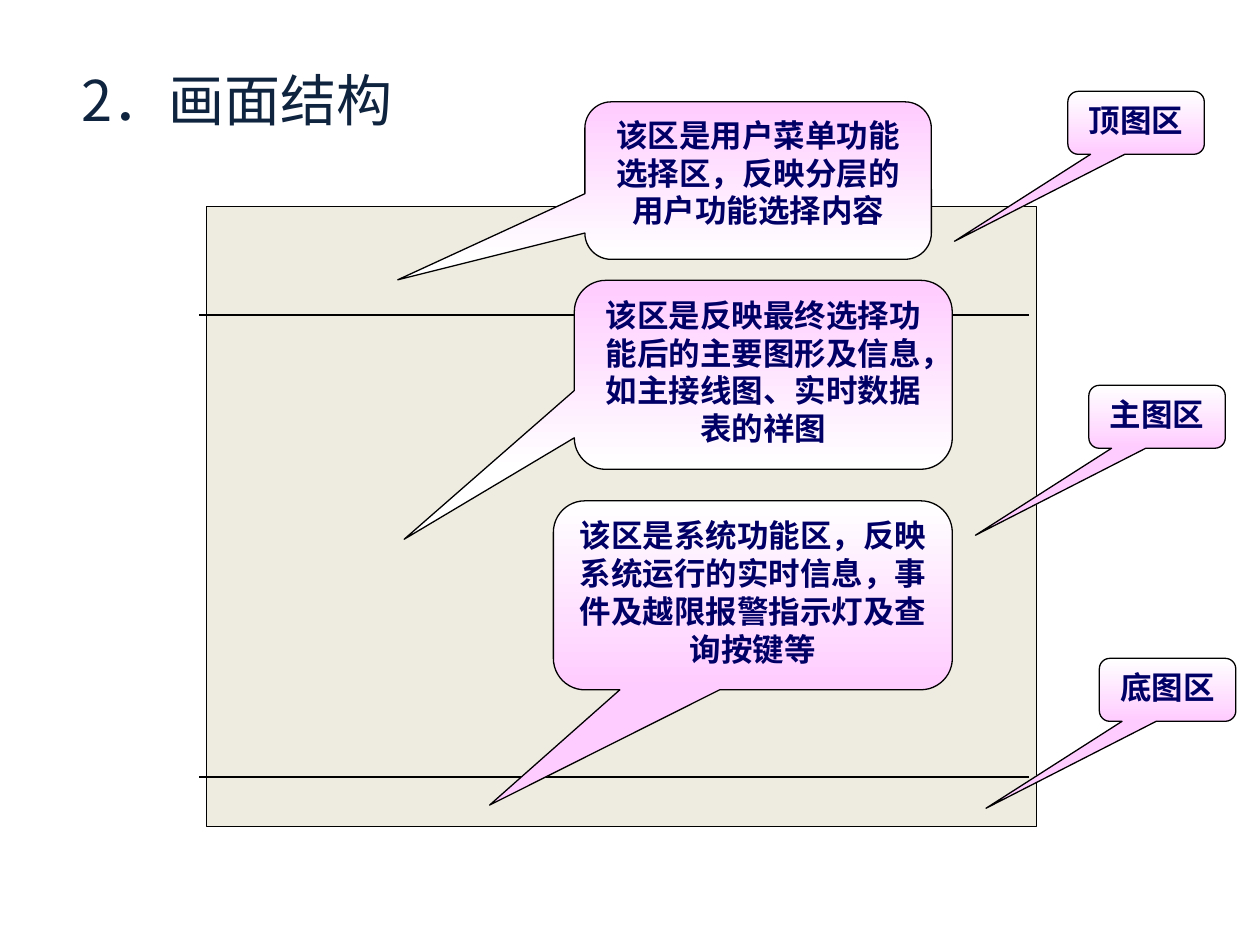
from pptx import Presentation
from pptx.dml.color import RGBColor
from pptx.enum.shapes import MSO_CONNECTOR as CONN, MSO_SHAPE as SHAPE
from pptx.enum.text import MSO_ANCHOR as ANCHOR, PP_ALIGN as ALIGN
from pptx.oxml.ns import qn
from pptx.util import Inches, Pt
from lxml.etree import SubElement

COLORS = {"title": "0F243E", "panel": "EEECE1", "line": "000000",
          "text": "000066", "pink": "FFCCFF", "white": "FFFFFF"}
TITLE = {"size": Pt(32), "name": "Noto Sans CJK JP", "bold": False}
NOTE = {"size": Pt(18), "name": "Noto Sans CJK SC", "bold": True}
COLS, ROWS = 120, 90


def rgb(key):
    return RGBColor.from_string(COLORS[key])


class SlideBuilder:
    """Places styled elements on a grid of COLS by ROWS cells."""

    def __init__(self, prs):
        self.s = prs.slides.add_slide(prs.slide_layouts[6])
        self.col, self.row = prs.slide_width / COLS, prs.slide_height / ROWS

    def box(self, x, y, w, h):
        return [round(v * u) for v, u in
                zip((x, y, w, h), (self.col, self.row) * 2)]

    def outline(self, line):
        line.color.rgb = rgb("line")
        line.width = Pt(0.75)

    def add_text(self, sp, text, style, color, align, anchor):
        tf = sp.text_frame
        tf.word_wrap = True
        tf.vertical_anchor = anchor
        p = tf.paragraphs[0]
        p.alignment = align
        r = p.add_run()
        r.text = text
        for key, value in style.items():
            setattr(r.font, key, value)
        r.font.color.rgb = rgb(color)
        # East Asian typeface
        SubElement(r.font._element, qn("a:ea"), typeface=style["name"])

    def title(self, text, *area):
        sp = self.s.shapes.add_textbox(*self.box(*area))
        self.add_text(sp, text, TITLE, "title", ALIGN.LEFT, ANCHOR.MIDDLE)

    def shape(self, kind, *area):
        sp = self.s.shapes.add_shape(kind, *self.box(*area))
        sp.shadow.inherit = False
        self.outline(sp.line)
        return sp

    def panel(self, *area):
        sp = self.shape(SHAPE.RECTANGLE, *area)
        sp.fill.solid()
        sp.fill.fore_color.rgb = rgb("panel")

    def divider(self, x1, x2, y):
        ln = self.s.shapes.add_connector(CONN.STRAIGHT, *self.box(x1, y, x2, y))
        self.outline(ln.line)
        SubElement(ln._element.spPr, qn("a:effectLst"))

    def callout(self, text, area, tip, shades):
        sp = self.shape(SHAPE.ROUNDED_RECTANGULAR_CALLOUT, *area)
        for i, value in enumerate((*tip, 0.167)):
            sp.adjustments[i] = value
        sp.fill.gradient()
        sp.fill.gradient_angle = 270
        for stop, shade in zip(sp.fill.gradient_stops, shades):
            stop.color.rgb = rgb(shade)
        self.add_text(sp, text, NOTE, "text", ALIGN.CENTER, ANCHOR.TOP)


def main():
    prs = Presentation()
    prs.slide_width, prs.slide_height = Inches(10), Inches(7.5)
    b = SlideBuilder(prs)
    to_pink, to_white = ("white", "pink"), ("pink", "white")

    b.title("2．画面结构", 6.6, 1.9, 108, 15)

    # Screen split into top, main and bottom areas
    b.panel(19.7, 19.7, 79, 59)
    for y in (30, 74):
        b.divider(19, 98, y)

    # Area names
    for text, x, y in (("顶图区", 101.7, 8.7), ("主图区", 103.7, 36.7),
                       ("底图区", 104.7, 62.7)):
        b.callout(text, (x, y, 13, 6), (-1.33, 1.88), to_pink)

    # Area descriptions
    b.callout("该区是用户菜单功能选择区，反映分层的用户功能选择内容",
              (55.7, 9.7, 33, 15), (-1.04, 0.63), to_white)
    b.callout("该区是反映最终选择功能后的主要图形及信息，如主接线图、实时数据表的祥图",
              (54.7, 26.7, 36, 18), (-0.95, 0.87), to_white)
    b.callout("该区是系统功能区，反映系统运行的实时信息，事件及越限报警指示灯及查询按键等",
              (52.7, 47.7, 38, 18), (-0.66, 1.11), to_pink)

    prs.save("out.pptx")


if __name__ == "__main__":
    main()
